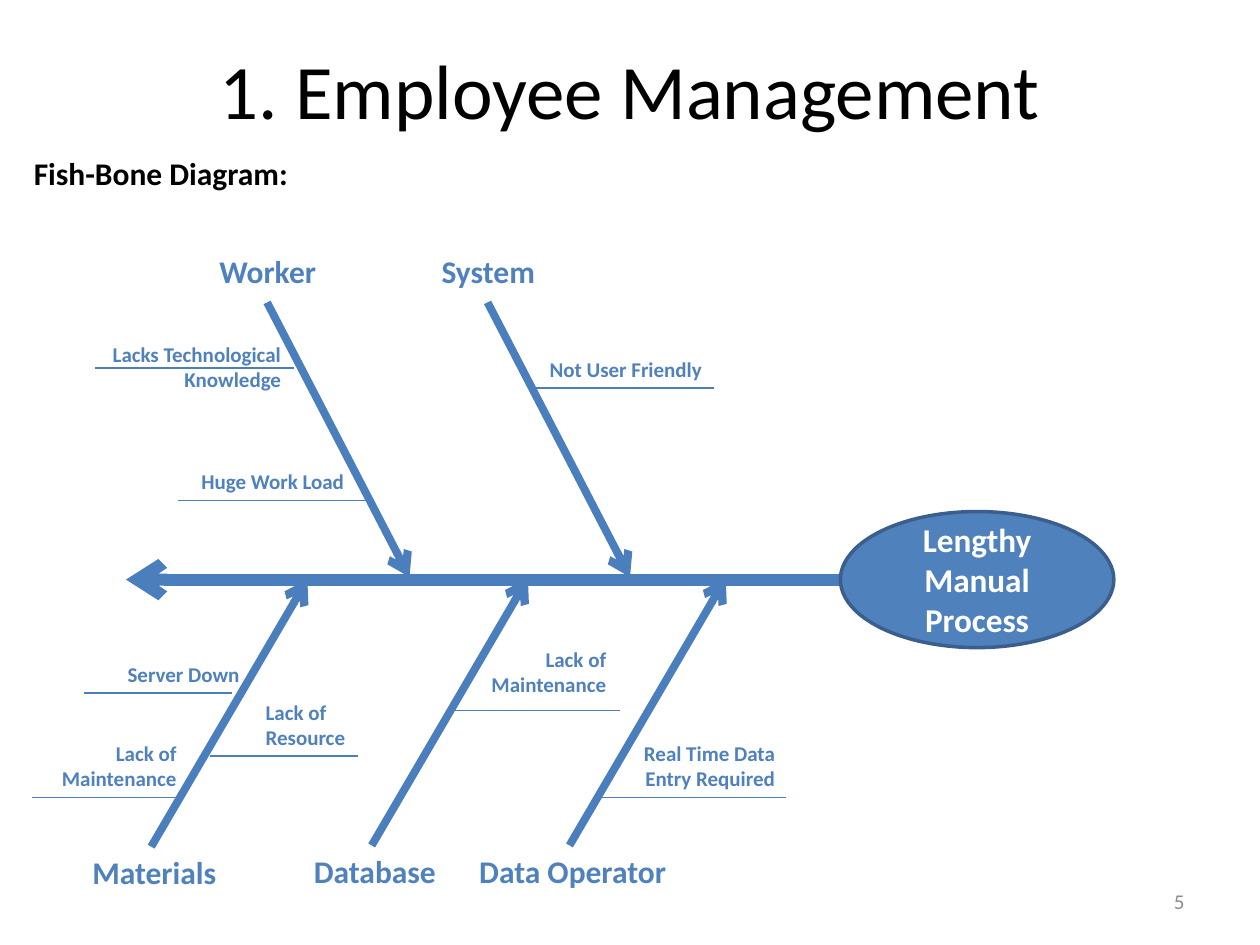
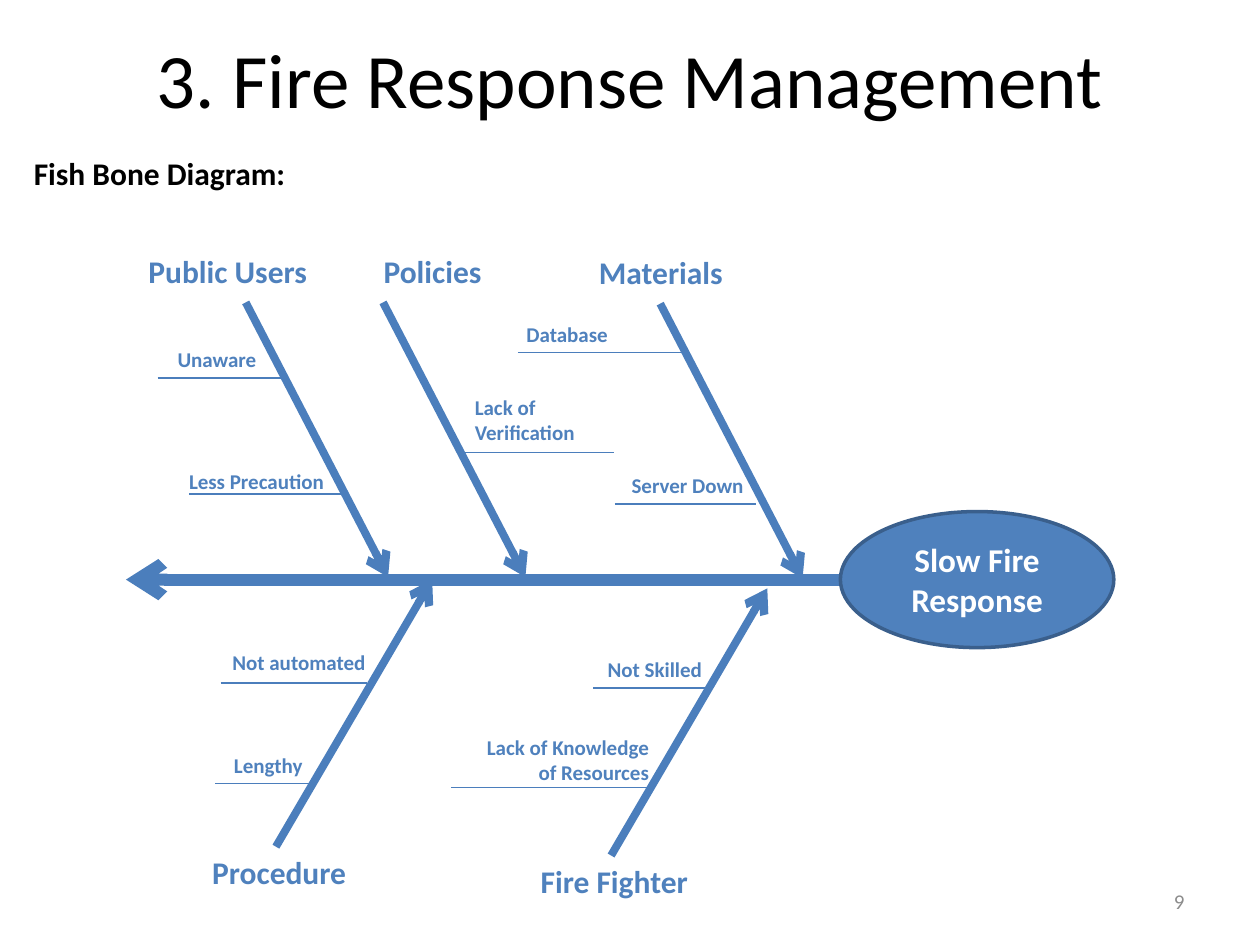
from lxml import etree
from pptx import Presentation
from pptx.dml.color import RGBColor
from pptx.enum.shapes import MSO_CONNECTOR, MSO_SHAPE
from pptx.enum.text import MSO_ANCHOR, PP_ALIGN
from pptx.oxml.ns import qn
from pptx.util import Inches, Pt

STRAIGHT, OVAL = MSO_CONNECTOR.STRAIGHT, MSO_SHAPE.OVAL
LEFT, CENTER, RIGHT = PP_ALIGN.LEFT, PP_ALIGN.CENTER, PP_ALIGN.RIGHT
TOP, MIDDLE = MSO_ANCHOR.TOP, MSO_ANCHOR.MIDDLE

FONT = "Calibri"
COLORS = {"text": "000000", "blue": "4F81BD", "line": "4B7EBC",
          "edge": "3A5F8C", "white": "FFFFFF", "number": "8C8C8C"}
WIDTH, HEIGHT = 10, 7.5
SPINE_Y, SPINE_TAIL, HEAD_LEFT = 4.6, 1, 6.67
HEAD_W, HEAD_H = 2.17, 1.08
LABEL_W, LABEL_H, CAUSE_W = 1.75, 0.4, 1.58
ONE_LINE, TWO_LINES, LINE_CHARS = 0.3, 0.5, 17

# upper, lower: start offset from the label's corner, then run and rise
BONES = {"upper": (0.87, 0.45, 1.13, 2.18), "lower": (0.85, 0, 1.24, -2.12)}

# categories: (name, side, left, top, align, causes)
# causes: (text, left, top, align, rule from x, rule to x, rule y)
DIAGRAMS = [
    {"title": "1. Employee Management", "title_h": 1.25, "number": "5",
     "subtitle": "Fish-Bone Diagram:", "effect": "Lengthy Manual Process",
     "categories": [
         ("Worker", "upper", 1.25, 1.95, CENTER, [
             ("Lacks Technological Knowledge", 0.75, 2.66, RIGHT, 0.75, 2.33, 2.92),
             ("Huge Work Load", 1.25, 3.67, RIGHT, 1.41, 2.91, 3.97)]),
         ("System", "upper", 3, 1.95, CENTER, [
             ("Not User Friendly", 4.09, 2.78, RIGHT, 4.25, 5.67, 3.08)]),
         ("Materials", "lower", 0.35, 6.72, CENTER, [
             ("Server Down", 0.42, 5.2, RIGHT, 0.67, 1.84, 5.5),
             ("Lack of Maintenance", -0.08, 5.83, RIGHT, 0.25, 1.42, 6.33),
             ("Lack of\nResource", 2.01, 5.5, LEFT, 1.67, 2.84, 6)]),
         ("Database", "lower", 2.1, 6.71, CENTER, [
             ("Lack of Maintenance", 3.33, 5.08, RIGHT, 3.58, 4.92, 5.64)]),
         ("Data Operator", "lower", 3.67, 6.71, CENTER, [
             ("Real Time Data Entry Required", 4.67, 5.83, RIGHT, 4.74, 6.24, 6.33)]),
     ]},
    {"title": "3. Fire Response Management", "title_h": 1.08, "number": "9",
     "subtitle": "Fish Bone Diagram:", "effect": "Slow Fire Response",
     "categories": [
         ("Public Users", "upper", 1.08, 1.95, LEFT, [
             ("Unaware ", 0.59, 2.7, RIGHT, 1.25, 2.25, 3),
             ("Less Precaution", 1.09, 3.67, RIGHT, 1.5, 2.75, 3.92)]),
         ("Policies", "upper", 2.17, 1.95, RIGHT, [
             ("Lack of\nVerification", 3.67, 3.08, LEFT, 3.67, 4.87, 3.59)]),
         ("Materials", "upper", 4.37, 1.96, CENTER, [
             ("Database", 4.08, 2.5, LEFT, 4.11, 5.42, 2.8),
             ("Server Down", 4.42, 3.7, RIGHT, 4.88, 6, 4)]),
         ("Procedure", "lower", 1.34, 6.72, CENTER, [
             ("Not automated", 1.42, 5.11, RIGHT, 1.75, 2.91, 5.42),
             ("Lengthy", 0.92, 5.92, RIGHT, 1.71, 2.5, 6.22)]),
         ("Fire Fighter", "lower", 4, 6.79, CENTER, [
             ("Not Skilled", 4.09, 5.16, RIGHT, 4.71, 5.6, 5.46),
             ("Lack of Knowledge\nof Resources", 3.67, 5.78, RIGHT, 3.58, 5.16, 6.25)]),
     ]},
]


def rgb(name):
    return RGBColor.from_string(COLORS[name])


def write(sp, text, size, color, align, bold=True, anchor=TOP, wrap=True):
    tf = sp.text_frame
    tf.word_wrap, tf.vertical_anchor = wrap, anchor
    p = tf.paragraphs[0]
    p.text, p.alignment = text, align
    p.font.name, p.font.size, p.font.bold = FONT, Pt(size), bold
    p.font.color.rgb = rgb(color)


def add_text(s, box, *args, **kwargs):
    write(s.shapes.add_textbox(*map(Inches, box)), *args, **kwargs)


def add_line(s, x1, y1, x2, y2, width, arrow=False):
    cx = s.shapes.add_connector(STRAIGHT, *map(Inches, (x1, y1, x2, y2)))
    cx.line.color.rgb, cx.line.width = rgb("line"), Pt(width)
    if arrow:
        etree.SubElement(cx.line._get_or_add_ln(), qn("a:tailEnd"), type="arrow")
    etree.SubElement(cx._element.spPr, qn("a:effectLst"))


def add_head(s, text):
    box = HEAD_LEFT, SPINE_Y - HEAD_H / 2, HEAD_W, HEAD_H
    sp = s.shapes.add_shape(OVAL, *map(Inches, box))
    sp.shadow.inherit = False
    sp.fill.solid()
    sp.fill.fore_color.rgb = rgb("blue")
    sp.line.color.rgb, sp.line.width = rgb("edge"), Pt(2)
    write(sp, text, 19, "white", CENTER, anchor=MIDDLE)


def add_category(s, name, side, left, top, align, causes):
    dx, dy, run, rise = BONES[side]
    x, y = left + dx, top + dy
    add_line(s, x, y, x + run, y + rise, 4.5, arrow=True)
    add_text(s, (left, top, LABEL_W, LABEL_H), name, 18, "blue", align)
    for text, cause_left, cause_top, cause_align, x1, x2, rule_y in causes:
        two = "\n" in text or len(text) > LINE_CHARS
        box = cause_left, cause_top, CAUSE_W, TWO_LINES if two else ONE_LINE
        add_text(s, box, text, 12, "blue", cause_align)
        add_line(s, x1, rule_y, x2, rule_y, 0.75)


def add_diagram(prs, diagram):
    s = prs.slides.add_slide(prs.slide_layouts[6])
    add_text(s, (0.5, 0.08, WIDTH - 1, diagram["title_h"]), diagram["title"],
             44, "text", CENTER, bold=False, anchor=MIDDLE)
    add_text(s, (7.17, 6.95, 2.33, 0.4), diagram["number"],
             12, "number", RIGHT, bold=False, anchor=MIDDLE)
    add_text(s, (0.17, 1.17, 2.23, 0.4), diagram["subtitle"],
             18, "text", LEFT, wrap=False)
    add_line(s, HEAD_LEFT, SPINE_Y, SPINE_TAIL, SPINE_Y, 6.75, arrow=True)
    add_head(s, diagram["effect"])
    for category in diagram["categories"]:
        add_category(s, *category)


def main():
    """Build the fish-bone slides."""
    prs = Presentation()
    prs.slide_width, prs.slide_height = Inches(WIDTH), Inches(HEIGHT)
    for diagram in DIAGRAMS:
        add_diagram(prs, diagram)
    prs.save("out.pptx")


if __name__ == "__main__":
    main()
